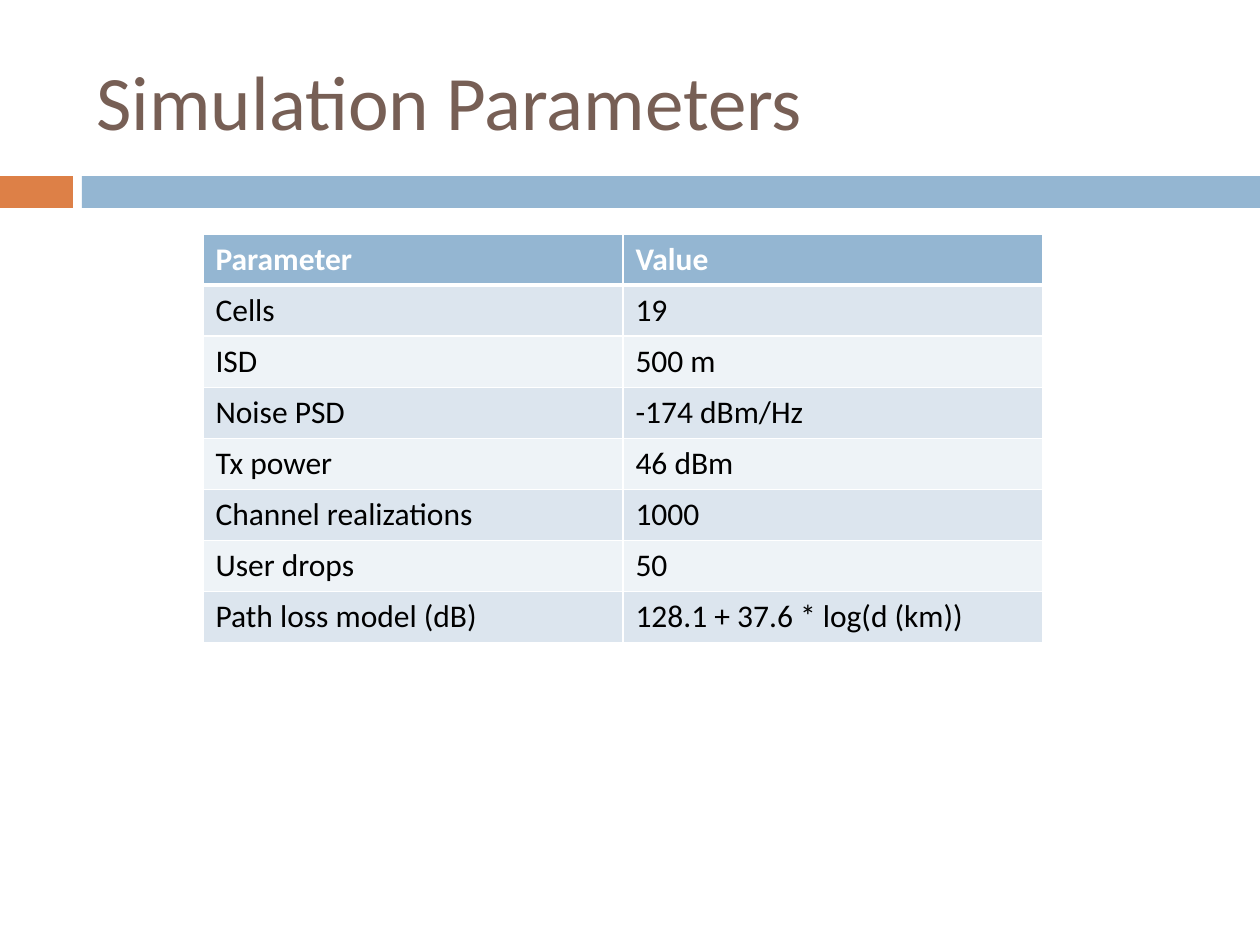
import dataclasses
import pptx
import pptx.dml.color
import pptx.enum.shapes
import pptx.enum.text
import pptx.oxml
import pptx.oxml.ns
import pptx.util

SCALE = 914400 // 126  # EMU in one pixel


@dataclasses.dataclass(frozen=True)
class Theme:
    font: str = "Calibri"
    title: str = "775F55"
    accent: str = "DD8047"
    main: str = "94B6D2"
    bands: tuple = ("DCE5EE", "EEF3F7")
    white: str = "FFFFFF"
    black: str = "000000"
    big: int = 44
    small: int = 18
    thin: int = 1
    thick: int = 3


THEME = Theme()
ROWS = [
    ("Parameter", "Value"),
    ("Cells", "19"),
    ("ISD", "500 m"),
    ("Noise PSD", "-174 dBm/Hz"),
    ("Tx power", "46 dBm"),
    ("Channel realizations", "1000"),
    ("User drops", "50"),
    ("Path loss model (dB)", "128.1 + 37.6 * log(d (km))"),
]


def px(*vals):
    return [pptx.util.Emu(val * SCALE) for val in vals]


def rgb(code):
    return pptx.dml.color.RGBColor.from_string(code)


def paint(fill, code):
    fill.solid()
    fill.fore_color.rgb = rgb(code)


def add_run(para, text, size, color, bold=False):
    run = para.add_run()
    run.text = text
    font = run.font
    font.name, font.size, font.bold = THEME.font, pptx.util.Pt(size), bold
    font.color.rgb = rgb(color)


def add_bar(slide, box, color):
    bar = slide.shapes.add_shape(pptx.enum.shapes.MSO_SHAPE.RECTANGLE, *px(*box))
    bar.shadow.inherit = False
    paint(bar.fill, color)
    bar.line.fill.background()


def set_title(slide, box, text):
    title = slide.shapes.title
    title.left, title.top, title.width, title.height = px(*box)
    frame = title.text_frame
    frame.vertical_anchor = pptx.enum.text.MSO_ANCHOR.MIDDLE
    para = frame.paragraphs[0]
    para.alignment = pptx.enum.text.PP_ALIGN.LEFT
    add_run(para, text, THEME.big, THEME.title)


def add_edge(cell, side, width):
    xml = (
        f'<a:{side} {pptx.oxml.ns.nsdecls("a")} w="{pptx.util.Pt(width)}">'
        f'<a:solidFill><a:srgbClr val="{THEME.white}"/></a:solidFill></a:{side}>'
    )
    cell._tc.get_or_add_tcPr().append(pptx.oxml.parse_xml(xml))


def fill_cell(cell, row, text):
    head = row == 0
    # Borders come before the fill; the rule under the header is thick
    heavy = {"lnB": 0, "lnT": 1}
    for side in ("lnL", "lnR", "lnT", "lnB"):
        add_edge(cell, side, THEME.thick if heavy.get(side) == row else THEME.thin)
    paint(cell.fill, THEME.main if head else THEME.bands[(row - 1) % 2])
    color = THEME.white if head else THEME.black
    add_run(cell.text_frame.paragraphs[0], text, THEME.small, color, head)


def add_grid(slide, box, rows):
    grid = slide.shapes.add_table(len(rows), len(rows[0]), *px(*box)).table
    for row, texts in enumerate(rows):
        for col, text in enumerate(texts):
            fill_cell(grid.cell(row, col), row, text)


def main():
    deck = pptx.Presentation()
    deck.slide_width, deck.slide_height = px(1260, 945)
    slide = deck.slides.add_slide(deck.slide_layouts[5])

    # Bars below the title
    add_bar(slide, (0, 176, 73, 32), THEME.accent)
    add_bar(slide, (82, 176, 1178, 32), THEME.main)

    # Title
    set_title(slide, (84, 32, 1124, 136), "Simulation Parameters")

    # Parameter table
    add_grid(slide, (203, 234, 840, 408), ROWS)

    deck.save("out.pptx")


main()
